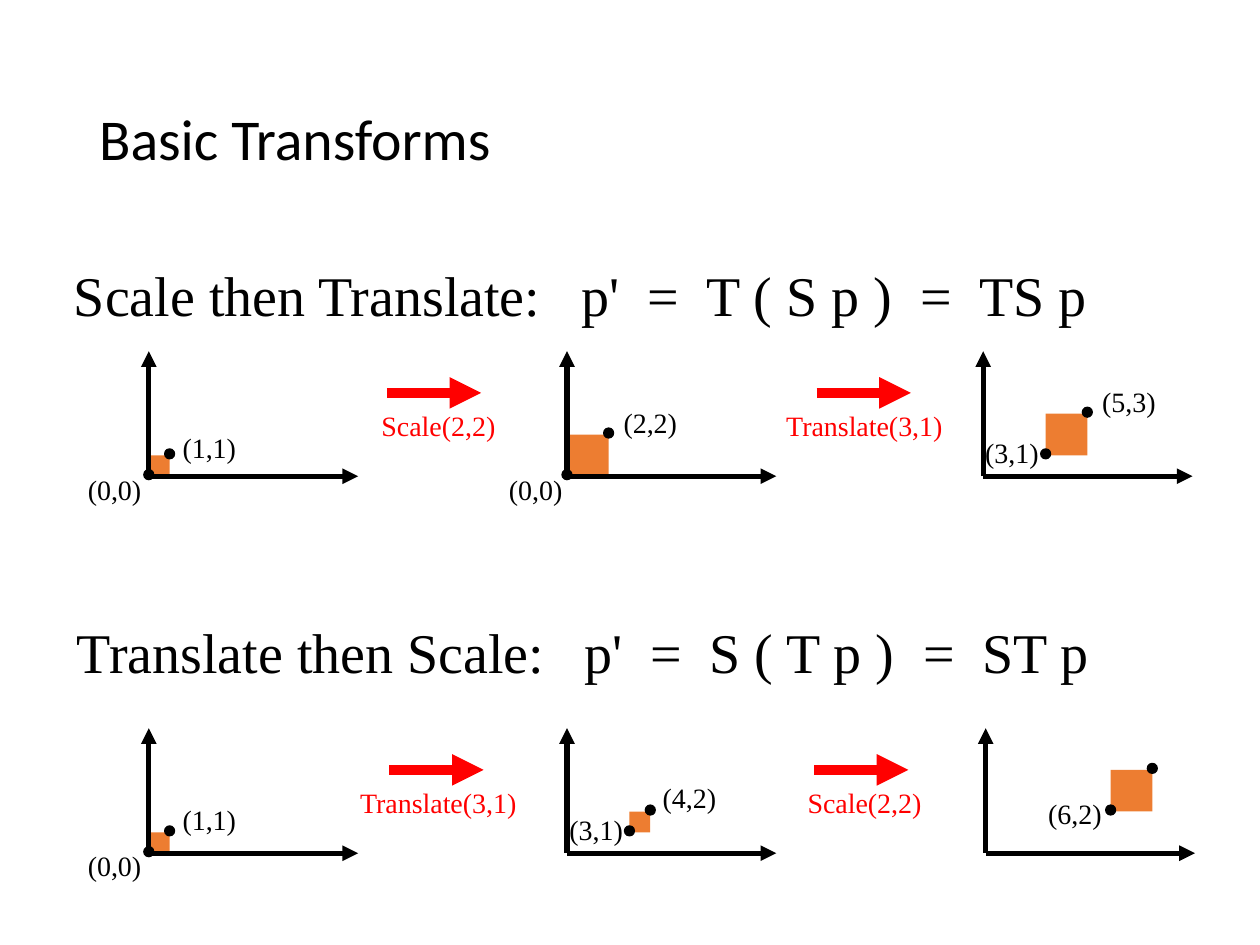
"""Build a slide on how the order of scaling and translating matters."""
from lxml import etree
from pptx import Presentation
from pptx.dml.color import RGBColor
from pptx.enum.shapes import MSO_CONNECTOR, MSO_SHAPE
from pptx.enum.text import MSO_ANCHOR
from pptx.oxml.ns import qn
from pptx.util import Cm, Pt

RECT, OVAL = MSO_SHAPE.RECTANGLE, MSO_SHAPE.OVAL
LINE = MSO_CONNECTOR.STRAIGHT
TOP, MID = MSO_ANCHOR.TOP, MSO_ANCHOR.MIDDLE


class Theme:
    ink = RGBColor(0x00, 0x00, 0x00)
    red = RGBColor(0xFF, 0x00, 0x00)
    fill = RGBColor(0xED, 0x7D, 0x31)
    sans, serif = "Calibri", "Times New Roman"
    title, head, label = 33, 32, 16


def add_text(words, left, top, wide=1.65, high=0.94, size=Theme.label,
             font=Theme.serif, color=Theme.ink, anchor=TOP, space=1.0, tabs=()):
    box = slide.shapes.add_textbox(Cm(left), Cm(top), Cm(wide), Cm(high))
    frame = box.text_frame
    frame.word_wrap = True
    frame.vertical_anchor = anchor
    para = frame.paragraphs[0]
    para.line_spacing = space
    if tabs:
        stops = etree.SubElement(para._p.get_or_add_pPr(), qn("a:tabLst"))
        for pos in tabs:
            etree.SubElement(stops, qn("a:tab"), pos=str(Cm(pos)), algn="l")
    run = para.add_run()
    run.text = words
    run.font.name, run.font.size = font, Pt(size)
    run.font.color.rgb = color


def add_arrow(start, end, color=Theme.ink, width=3):
    ends = [Cm(n) for n in (*start, *end)]
    arrow = slide.shapes.add_connector(LINE, *ends)
    arrow.line.color.rgb = color
    arrow.line.width = Pt(width)
    etree.SubElement(arrow.line._get_or_add_ln(), qn("a:tailEnd"), type="triangle")
    etree.SubElement(arrow._element.spPr, qn("a:effectLst"))


deck = Presentation()
deck.slide_width, deck.slide_height = Cm(25.4), Cm(19.05)
slide = deck.slides.add_slide(deck.slide_layouts[6])

add_text("Basic Transforms", 1.75, 1.02, 21.92, 3.68, size=Theme.title,
         font=Theme.sans, anchor=MID, space=0.9)

stops = (10.24, 11.57, 12.75, 17.06, 18.25)
heads = [
    ("Scale then Translate:\tp'\t=\tT ( S p )\t=\tTS p", 1.24, 5.13),
    ("Translate then Scale:\tp'\t=\tS ( T p )\t=\tST p", 1.3, 12.32),
]
for words, left, top in heads:
    add_text(words, left, top, 21.3, 1.63, size=Theme.head, tabs=stops)

unit, dot = 0.42, 0.2
plots = [
    (3, 9.6, (0, 0), 1),
    (11.43, 9.6, (0, 0), 2),
    (19.82, 9.6, (3, 1), 2),
    (3, 17.2, (0, 0), 1),
    (11.43, 17.2, (3, 1), 1),
    (19.87, 17.2, (6, 2), 2),
]
for left, base, (col, row), side in plots:
    edge = side * unit
    near = left + col * unit, base - row * unit
    far = near[0] + edge, near[1] - edge
    square = slide.shapes.add_shape(RECT, Cm(near[0]), Cm(far[1]), Cm(edge), Cm(edge))
    square.shadow.inherit = False
    square.fill.solid()
    square.fill.fore_color.rgb = Theme.fill
    square.line.fill.background()
    add_arrow((left, base), (left, base - 2.52))
    add_arrow((left, base), (left + 4.22, base))
    for x, y in (near, far):
        mark = slide.shapes.add_shape(
            OVAL, Cm(x - dot / 2), Cm(y - dot / 2 - 0.03), Cm(dot), Cm(dot))
        mark.shadow.inherit = False
        mark.fill.solid()
        mark.fill.fore_color.rgb = Theme.ink
        mark.line.color.rgb = Theme.ink
        mark.line.width = Pt(0.75)

labels = [
    ("(0,0)", 1.52, 9.4),
    ("(1,1)", 3.43, 8.56),
    ("(0,0)", 10.01, 9.4),
    ("(2,2)", 12.32, 8.05),
    ("(3,1)", 19.61, 8.66),
    ("(5,3)", 21.97, 7.62),
    ("(0,0)", 1.52, 16.99),
    ("(1,1)", 3.43, 16.05),
    ("(3,1)", 11.23, 16.26),
    ("(4,2)", 13.11, 15.62),
    ("(6,2)", 20.88, 15.93),
]
for words, left, top in labels:
    add_text(words, left, top)

steps = [
    ("Scale(2,2)", 7.44, 3.12, 7.8, 7.92),
    ("Translate(3,1)", 15.6, 3.96, 16.46, 7.92),
    ("Translate(3,1)", 7.01, 3.96, 7.85, 15.52),
    ("Scale(2,2)", 16.03, 3.12, 16.41, 15.52),
]
for words, left, wide, start, y in steps:
    add_text(words, left, y + 0.2, wide, color=Theme.red)
    add_arrow((start, y), (start + 1.9, y), color=Theme.red, width=6)

deck.save("out.pptx")
